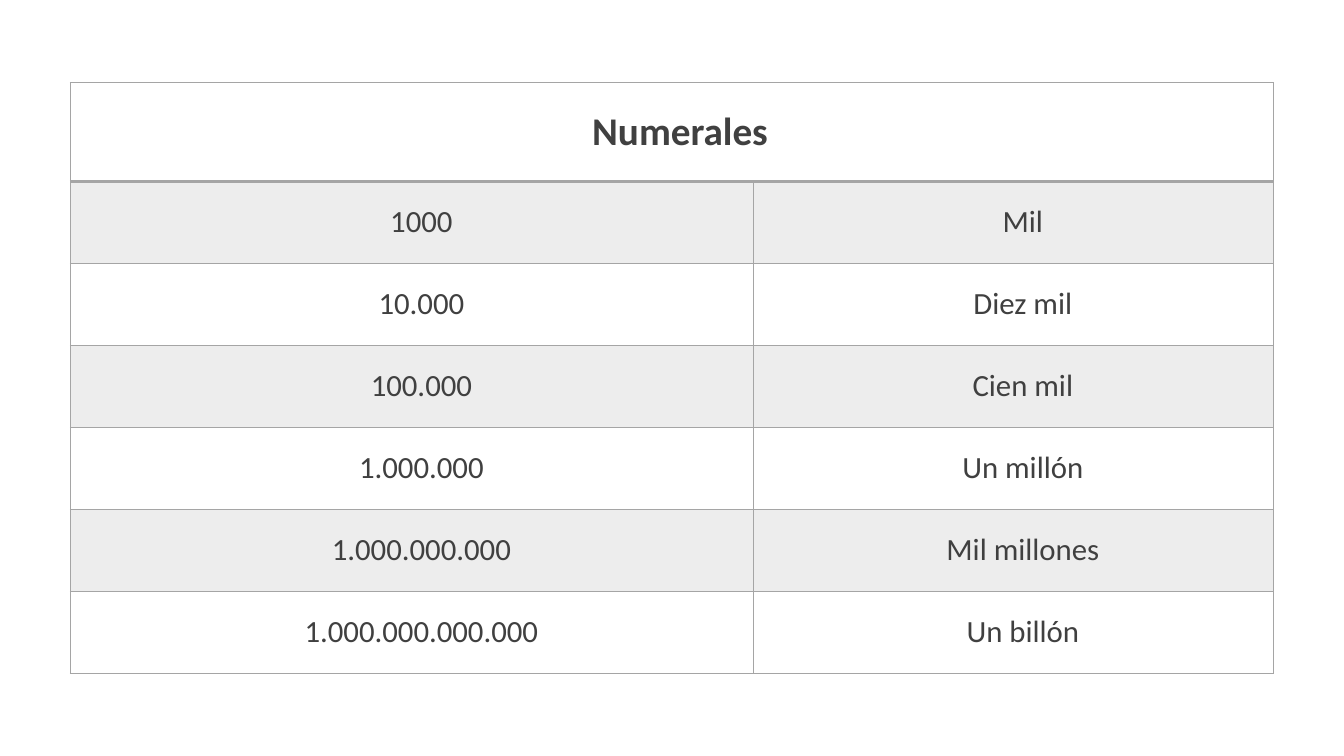
"""Build a slide with a table of Spanish numerals."""
from lxml import etree
from pptx import Presentation
from pptx.dml.color import RGBColor
from pptx.enum.text import MSO_ANCHOR, PP_ALIGN
from pptx.oxml.ns import qn
from pptx.util import Inches, Pt

CENTER = PP_ALIGN.CENTER
MIDDLE = MSO_ANCHOR.MIDDLE
TEXT = RGBColor(0x40, 0x40, 0x40)
GRAY = RGBColor(0xA5, 0xA5, 0xA5)
FONT = "Calibri"
BAND_ALPHA = 20000
TITLE = "Numerales"
NUMERALS = [
    ("1000", "Mil"),
    ("10.000", "Diez mil"),
    ("100.000", "Cien mil"),
    ("1.000.000", "Un millón"),
    ("1.000.000.000", "Mil millones"),
    ("1.000.000.000.000", "Un billón"),
]


def set_borders(cell, bottom=1):
    """Draw gray lines round a cell, the bottom one with its own width."""
    tcPr = cell._tc.get_or_add_tcPr()
    for tag, width in (("lnL", 1), ("lnR", 1), ("lnT", 1), ("lnB", bottom)):
        ln = etree.SubElement(tcPr, qn(f"a:{tag}"), w=str(Pt(width)))
        fill = etree.SubElement(ln, qn("a:solidFill"))
        etree.SubElement(fill, qn("a:srgbClr"), val=str(GRAY))


def set_fill(cell, banded):
    """Fill a cell with translucent gray, or leave it clear."""
    if not banded:
        cell.fill.background()
        return
    cell.fill.solid()
    cell.fill.fore_color.rgb = GRAY
    color = cell._tc.tcPr.find(f"{qn('a:solidFill')}/{qn('a:srgbClr')}")
    etree.SubElement(color, qn("a:alpha"), val=str(BAND_ALPHA))


def write_cell(cell, text, size, inset, bold=False):
    """Write centred text in a cell."""
    cell.vertical_anchor = MIDDLE
    cell.margin_left = Inches(0.39)
    cell.margin_top = cell.margin_right = cell.margin_bottom = Inches(inset)
    p = cell.text_frame.paragraphs[0]
    p.alignment = CENTER
    r = p.add_run()
    r.text = text
    r.font.name = FONT
    r.font.size = Pt(size)
    r.font.bold = bold
    r.font.color.rgb = TEXT


def add_numerals_table(s, left, top, width, height):
    """Add the numerals table in the given box, in inches."""
    table = s.shapes.add_table(
        len(NUMERALS) + 1, 2, Inches(left), Inches(top), Inches(width), Inches(height)
    ).table
    first_col, header_height = 6.77, 0.98
    table.columns[0].width = Inches(first_col)
    table.columns[1].width = Inches(width - first_col)
    row_height = (height - header_height) / len(NUMERALS)
    for i, row in enumerate(table.rows):
        row.height = Inches(row_height if i else header_height)
        for cell in row.cells:
            set_borders(cell, bottom=1 if i else 2)
            set_fill(cell, banded=i % 2 == 1)
    header = table.cell(0, 0)
    header.merge(table.cell(0, 1))
    write_cell(header, TITLE, 28, 0.23, bold=True)
    for i, numeral in enumerate(NUMERALS, start=1):
        for j, text in enumerate(numeral):
            write_cell(table.cell(i, j), text, 22, 0.2)


def main():
    """Create the presentation and save it."""
    prs = Presentation()
    prs.slide_width, prs.slide_height = Inches(13.33), Inches(7.5)
    s = prs.slides.add_slide(prs.slide_layouts[6])
    add_numerals_table(s, 0.7, 0.82, 11.93, 5.86)
    prs.save("out.pptx")


if __name__ == "__main__":
    main()
